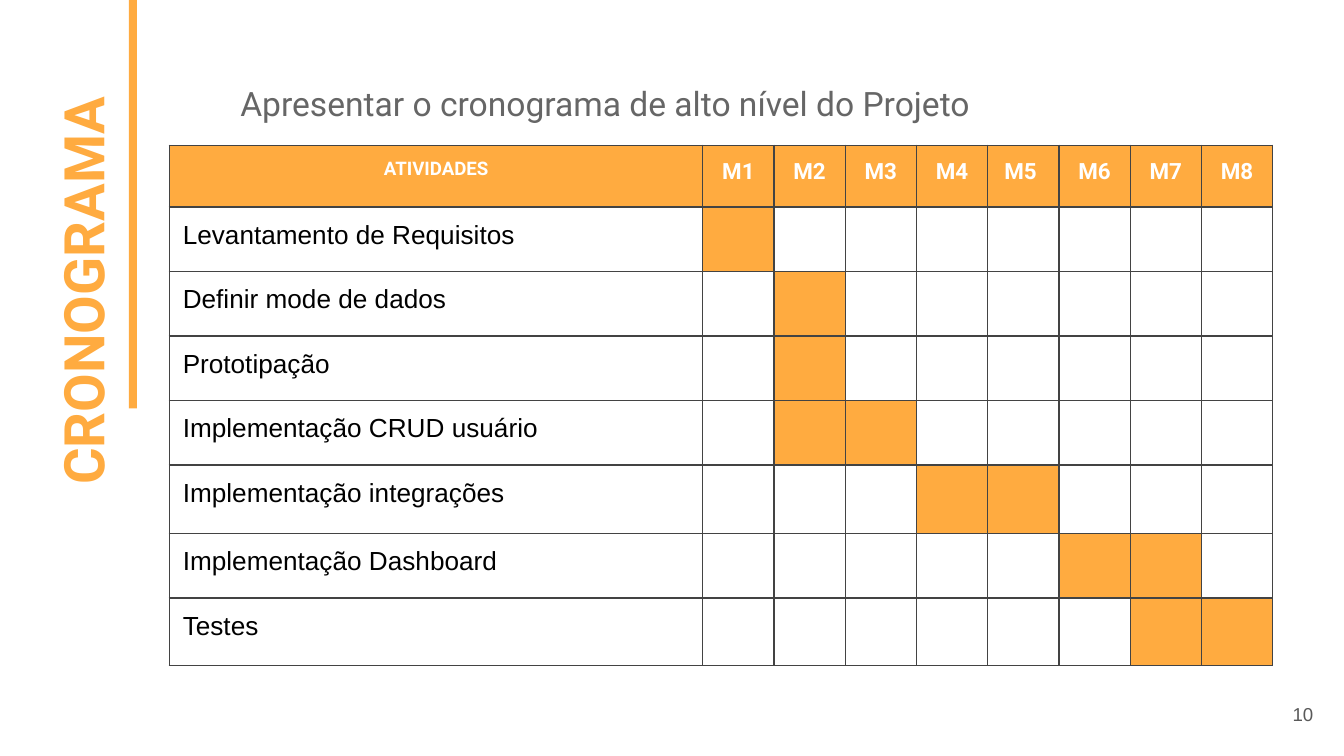
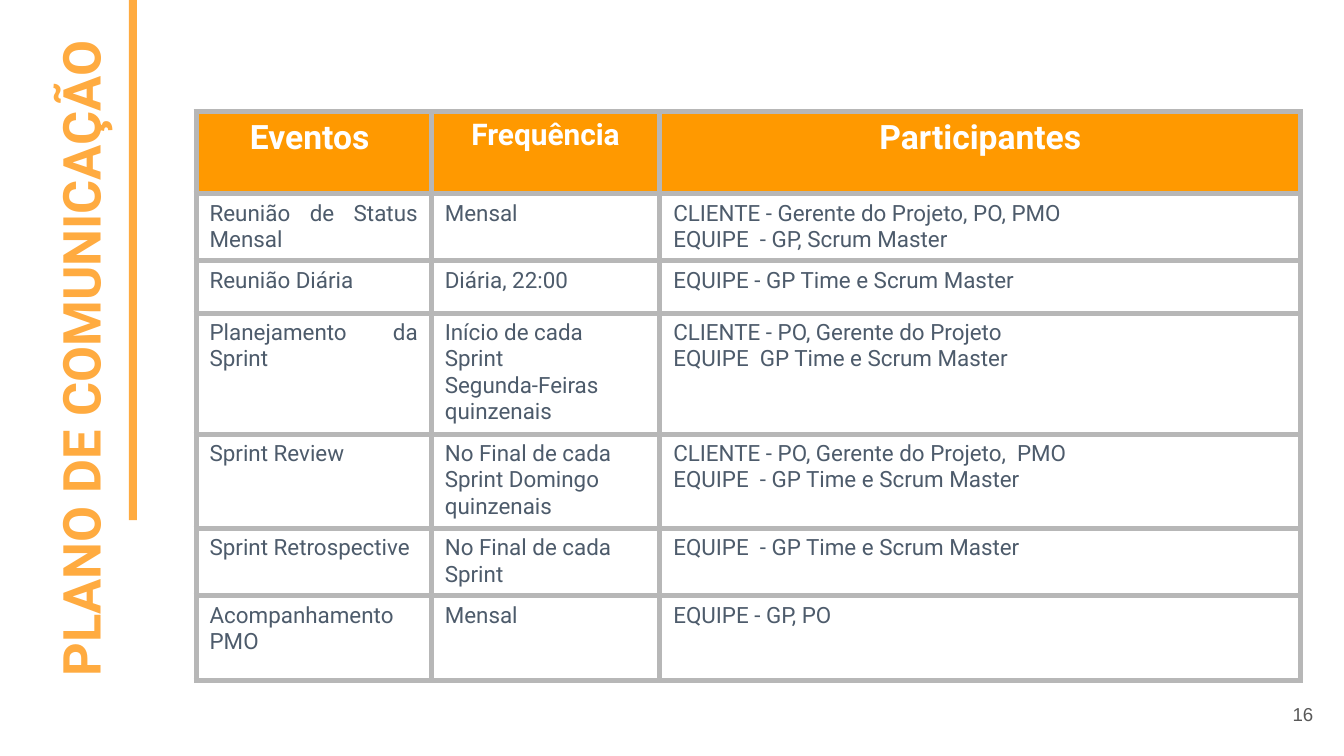
from lxml import etree
from pptx import Presentation, util as u
from pptx.dml.color import RGBColor
from pptx.enum import shapes, text
from pptx.oxml.ns import qn

AMBER = RGBColor(0xFF, 0xAB, 0x40)
ORANGE = RGBColor(0xFF, 0x99, 0x00)
WHITE = RGBColor(0xFF, 0xFF, 0xFF)
BLACK = RGBColor(0, 0, 0)
SLATE = RGBColor(0x4D, 0x5B, 0x6B)
GRAY = RGBColor(0x66, 0x66, 0x66)
DIM = RGBColor(0x59, 0x59, 0x59)
DARK = RGBColor(0x43, 0x43, 0x43)
SILVER = RGBColor(0xB7, 0xB7, 0xB7)

WIDE = 10
HIGH = WIDE * 9 / 16
AXIS = 0.58  # centre line of the upright titles
PAD = 0.1
LEFT, MID = text.PP_ALIGN.LEFT, text.PP_ALIGN.CENTER
RIGHT, JUST = text.PP_ALIGN.RIGHT, text.PP_ALIGN.JUSTIFY

# Each activity with its first and last month
TASKS = [
    ("Levantamento de Requisitos", 1, 1),
    ("Definir mode de dados", 2, 2),
    ("Prototipação", 2, 2),
    ("Implementação CRUD usuário", 2, 3),
    ("Implementação integrações", 4, 5),
    ("Implementação Dashboard", 6, 7),
    ("Testes", 7, 8),
]
MONTHS = ["M1", "M2", "M3", "M4", "M5 ", "M6", "M7", "M8"]

HEADS = [("Eventos ", 18), ("Frequência", 16), ("Participantes", 18)]
EVENTS = [
    ("Reunião de Status Mensal", "Mensal ",
     "CLIENTE - Gerente do Projeto, PO, PMO\nEQUIPE  - GP, Scrum Master"),
    ("Reunião Diária", "Diária, 22:00", "EQUIPE - GP Time e Scrum Master"),
    ("Planejamento da Sprint ",
     "Início de cada Sprint\nSegunda-Feiras quinzenais ",
     "CLIENTE - PO, Gerente do Projeto \nEQUIPE  GP Time e Scrum Master"),
    ("Sprint Review", "No Final de cada Sprint Domingo quinzenais",
     "CLIENTE - PO, Gerente do Projeto,  PMO\n"
     "EQUIPE  - GP Time e Scrum Master"),
    ("Sprint Retrospective ", "No Final de cada Sprint ",
     "EQUIPE  - GP Time e Scrum Master "),
    ("Acompanhamento PMO ", "Mensal", "EQUIPE - GP, PO"),
]


def write(frame, words, size, color, font="Roboto", bold=False, align=LEFT):
    """Fill a text frame and format all its runs."""
    frame.text = words
    for par in frame.paragraphs:
        par.alignment = align
        for run in par.runs:
            run.font.size = u.Pt(size)
            run.font.name = font
            run.font.bold = bold
            run.font.color.rgb = color


def add_text(slide, place, words, size, color, **style):
    """Add a wrapping text box with even padding."""
    box = slide.shapes.add_textbox(*map(u.Inches, place))
    frame = box.text_frame
    frame.word_wrap = True
    frame.margin_left = frame.margin_right = u.Inches(PAD)
    frame.margin_top = frame.margin_bottom = u.Inches(PAD)
    write(frame, words, size, color, **style)
    return box


def add_title(slide, words, size, length, middle, align):
    """Add a title that reads upwards along the left edge."""
    deep = 0.64
    place = (AXIS - length / 2, middle - deep / 2, length, deep)
    box = add_text(slide, place, words, size, AMBER, bold=True, align=align)
    box.rotation = 270


def add_bar(slide, length):
    """Add the amber bar that hangs from the top edge."""
    bar = slide.shapes.add_shape(
        shapes.MSO_SHAPE.RECTANGLE, u.Inches(0.96), 0,
        u.Inches(0.06), u.Inches(length))
    bar.shadow.inherit = False
    bar.fill.solid()
    bar.fill.fore_color.rgb = AMBER
    bar.line.fill.background()


def add_page(slide, number):
    """Add the page number in the lower right corner."""
    box = add_text(slide, (9.27, 5.1, 0.6, 0.43), str(number), 10, DIM,
                   font="Arial", align=RIGHT)
    box.text_frame.vertical_anchor = text.MSO_ANCHOR.MIDDLE


def edge(cell, color, width):
    """Draw the four borders of a cell."""
    props = cell._tc.get_or_add_tcPr()
    for spot, side in enumerate(("lnL", "lnR", "lnT", "lnB")):
        line = etree.Element(qn("a:" + side), w=str(u.Pt(width)))
        fill = etree.SubElement(line, qn("a:solidFill"))
        etree.SubElement(fill, qn("a:srgbClr"), val=str(color))
        props.insert(spot, line)


def add_grid(slide, left, top, cols, rows, color, width):
    """Add a plain white table with one border style."""
    frame = slide.shapes.add_table(
        len(rows), len(cols), u.Inches(left), u.Inches(top),
        u.Inches(sum(cols)), u.Inches(sum(rows)))
    grid = frame.table
    grid.horz_banding = False
    for col, size in zip(grid.columns, cols):
        col.width = u.Inches(size)
    for row, size in zip(grid.rows, rows):
        row.height = u.Inches(size)
    for cell in grid.iter_cells():
        paint(cell, WHITE)
        edge(cell, color, width)
    return grid


def paint(cell, color):
    """Give a cell a solid fill."""
    cell.fill.solid()
    cell.fill.fore_color.rgb = color


def put(cell, words, size, color, gap, **style):
    """Write into a cell with the given top and bottom margin."""
    cell.margin_left = cell.margin_right = u.Inches(PAD)
    cell.margin_top = cell.margin_bottom = u.Inches(gap)
    write(cell.text_frame, words, size, color, **style)


def start(deck, title, bar, page):
    """Add a blank slide with title, bar and page number."""
    slide = deck.slides.add_slide(deck.slide_layouts[6])
    add_title(slide, *title)
    add_bar(slide, bar)
    add_page(slide, page)
    return slide


def plan(deck):
    """Build the schedule slide."""
    slide = start(deck, ("CRONOGRAMA ", 30, 3.63, 1.89, LEFT), 3.04, 10)
    lead = add_text(slide, (1.69, 0.47, 7.1, 0.43),
                    "Apresentar o cronograma de alto nível do Projeto",
                    18, GRAY, align=JUST)
    lead.text_frame.paragraphs[0].line_spacing = 1.15

    rows = [0.46] + [0.48] * 4 + [0.51, 0.48, 0.5]
    grid = add_grid(slide, 1.26, 1.08, [3.97] + [0.53] * len(MONTHS), rows,
                    DARK, 0.75)
    for col, head in enumerate(["ATIVIDADES"] + MONTHS):
        cell = grid.cell(0, col)
        paint(cell, AMBER)
        put(cell, head, 12 if col else 10, WHITE, PAD, bold=True, align=MID)
    for row, (task, first, last) in enumerate(TASKS, 1):
        put(grid.cell(row, 0), task, 14, BLACK, PAD, font="Arial")
        for month in range(first, last + 1):
            paint(grid.cell(row, month), AMBER)


def talks(deck):
    """Build the communication slide."""
    slide = start(deck, ("PLANO DE COMUNICAÇÃO", 28, 5.33, 2.87, RIGHT),
                  3.87, 16)
    rows = [0.61, 0.48, 0.39, 0.48, 0.59, 0.45, 0.63]
    grid = add_grid(slide, 1.46, 0.83, [1.75, 1.7, 4.77], rows, SILVER, 3)
    for col, (head, size) in enumerate(HEADS):
        cell = grid.cell(0, col)
        paint(cell, ORANGE)
        put(cell, head, size, WHITE, PAD / 2, bold=True, align=MID)
    for row, event in enumerate(EVENTS, 1):
        for col, words in enumerate(event):
            put(grid.cell(row, col), words, 12, SLATE, PAD / 2,
                align=LEFT if col else JUST)


def main():
    """Build and save the deck."""
    deck = Presentation()
    deck.slide_width, deck.slide_height = u.Inches(WIDE), u.Inches(HIGH)
    plan(deck)
    talks(deck)
    deck.save("out.pptx")


main()
